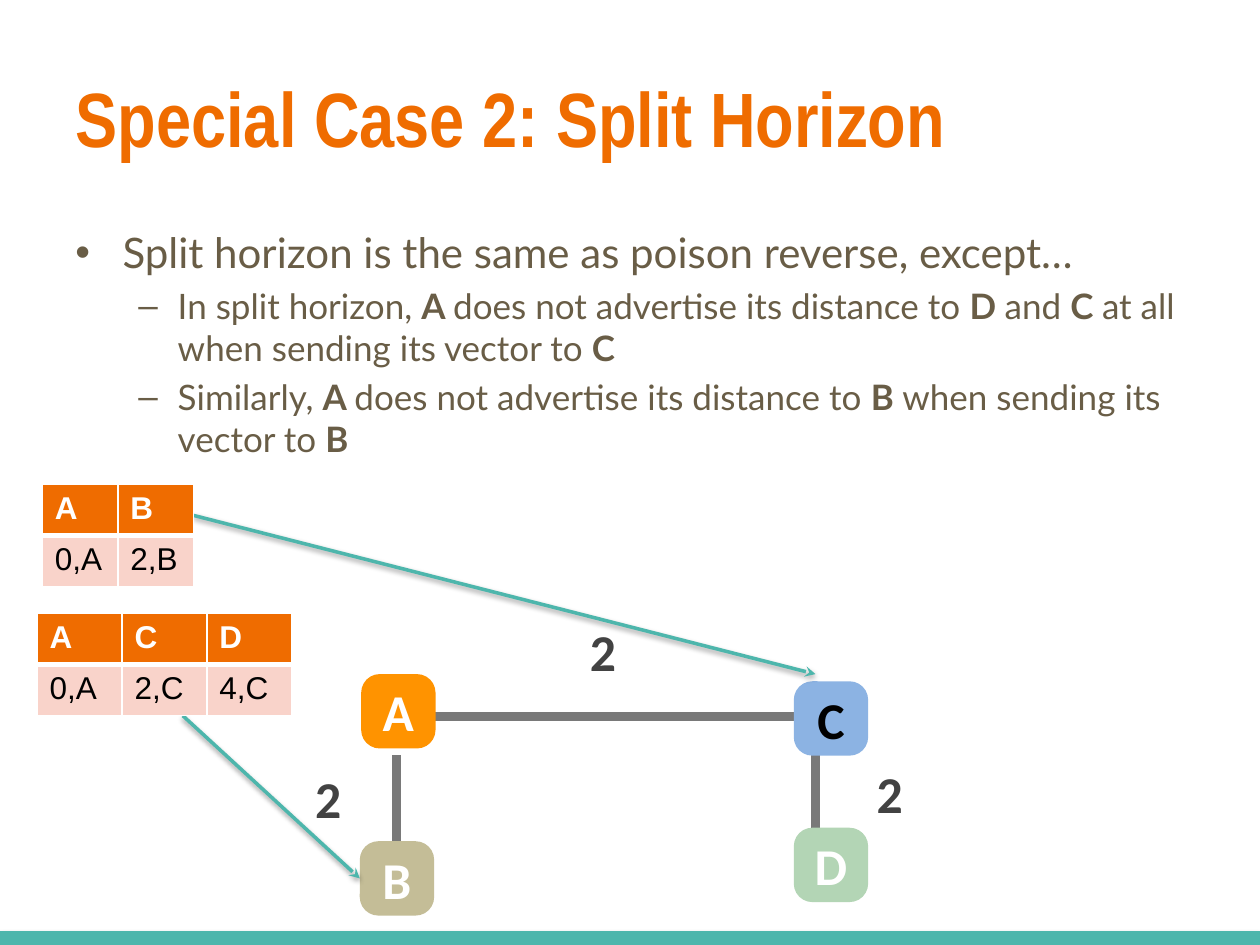
from dataclasses import dataclass

from lxml.etree import SubElement
from pptx import Presentation
from pptx.dml.color import RGBColor
from pptx.enum.shapes import MSO_CONNECTOR, MSO_SHAPE
from pptx.enum.text import MSO_ANCHOR, MSO_AUTO_SIZE, PP_ALIGN
from pptx.oxml.ns import qn
from pptx.util import Pt


@dataclass(frozen=True)
class Theme:
    accent: str = "EF6C00"
    teal: str = "4DB6AC"
    body: str = "695D46"
    link: str = "797979"
    cost: str = "424242"
    row: str = "F9D3CA"
    white: str = "FFFFFF"
    black: str = "000000"
    title_font: str = "Arial Narrow"
    body_font: str = "Lato"
    node_font: str = "Calibri"
    table_font: str = "Arial"
    title_size: float = 44
    point_size: float = 24
    subpoint_size: float = 20
    node_size: float = 29.5
    table_size: float = 18


def rgb(color):
    return RGBColor.from_string(color)


def add_xml(parent, tag, **attributes):
    return SubElement(parent, qn(tag), {key: str(value) for key, value in attributes.items()})


def add_color(parent, color):
    return add_xml(add_xml(parent, "a:solidFill"), "a:srgbClr", val=color)


def set_font(paragraph, name, size, color, bold=None):
    font = paragraph.font
    font.name, font.size, font.bold = name, Pt(size), bold
    font.color.rgb = rgb(color)


def set_frame(frame, anchor, side, top):
    frame.word_wrap = True
    frame.auto_size = MSO_AUTO_SIZE.NONE
    frame.vertical_anchor = anchor
    frame.margin_left = frame.margin_right = Pt(side)
    frame.margin_top = frame.margin_bottom = Pt(top)


class SlideBuilder:
    NODE = 42.5

    def __init__(self, slide, theme):
        self.slide, self.shapes, self.theme = slide, slide.shapes, theme

    def title(self, text, left, top, width, height):
        title = self.shapes.title
        title.left, title.top, title.width, title.height = map(Pt, (left, top, width, height))
        set_frame(title.text_frame, MSO_ANCHOR.MIDDLE, 7.2, 3.6)
        title.text_frame.text = text
        paragraph = title.text_frame.paragraphs[0]
        paragraph.alignment = PP_ALIGN.LEFT
        set_font(paragraph, self.theme.title_font, self.theme.title_size, self.theme.accent, True)

    def bullets(self, points, left, top, width, height):
        """Add (level, text) points; text between asterisks is bold."""
        theme = self.theme
        styles = [("•", 27, 27, theme.point_size), ("–", 58.5, 22.5, theme.subpoint_size)]
        frame = self.shapes.add_textbox(*map(Pt, (left, top, width, height))).text_frame
        set_frame(frame, MSO_ANCHOR.TOP, 7.2, 3.6)
        for index, (level, text) in enumerate(points):
            paragraph = frame.add_paragraph() if index else frame.paragraphs[0]
            paragraph.level = level
            if index:
                paragraph.space_before = Pt(4)
            mark, margin, hang, size = styles[level]
            properties = paragraph._p.get_or_add_pPr()
            properties.set("marL", str(Pt(margin)))
            properties.set("indent", str(-Pt(hang)))
            add_xml(add_xml(properties, "a:buClr"), "a:srgbClr", val=theme.body)
            add_xml(properties, "a:buFont", typeface="Arial")
            add_xml(properties, "a:buChar", char=mark)
            set_font(paragraph, theme.body_font, size, theme.body)
            for position, part in enumerate(text.split("*")):
                if part:
                    run = paragraph.add_run()
                    run.text = part
                    if position % 2:
                        run.font.bold = True

    def node(self, name, left, top, fill, color):
        node = self.shapes.add_shape(
            MSO_SHAPE.ROUNDED_RECTANGLE, *map(Pt, (left, top, self.NODE, self.NODE)))
        node.adjustments[0] = 0.25
        node.shadow.inherit = False
        node.fill.solid()
        node.fill.fore_color.rgb = rgb(fill)
        node.line.fill.background()
        set_frame(node.text_frame, MSO_ANCHOR.MIDDLE, 0, 0)
        node.text_frame.text = name
        paragraph = node.text_frame.paragraphs[0]
        paragraph.alignment = PP_ALIGN.CENTER
        set_font(paragraph, self.theme.node_font, self.theme.node_size, color, True)

    def cost(self, text, left, top):
        frame = self.shapes.add_textbox(*map(Pt, (left, top, 34, 42))).text_frame
        set_frame(frame, MSO_ANCHOR.MIDDLE, 3, 3)
        frame.text = text
        set_font(frame.paragraphs[0], self.theme.node_font, self.theme.node_size,
                 self.theme.cost, True)

    def line(self, start, end, color, width, shadow=False, arrow=False):
        line = self.shapes.add_connector(MSO_CONNECTOR.STRAIGHT, *map(Pt, (*start, *end)))
        line.line.color.rgb = rgb(color)
        line.line.width = Pt(width)
        if arrow:
            add_xml(line.line._get_or_add_ln(), "a:tailEnd", type="stealth")
        effects = add_xml(line._element.spPr, "a:effectLst")
        if shadow:
            outer = add_xml(effects, "a:outerShdw", blurRad=Pt(3.1), dist=Pt(1.6),
                            dir=90 * 60000, rotWithShape=0)
            shade = add_xml(outer, "a:srgbClr", val=self.theme.black)
            add_xml(shade, "a:alpha", val=38000)

    def vector_table(self, rows, left, top, column_width, row_height=29.2):
        theme = self.theme
        columns = len(rows[0])
        table = self.shapes.add_table(
            len(rows), columns, Pt(left), Pt(top),
            Pt(column_width * columns), Pt(row_height * len(rows))).table
        for column in table.columns:
            column.width = Pt(column_width)
        for index, values in enumerate(rows):
            header = index == 0
            table.rows[index].height = Pt(row_height)
            borders = {"L": 1, "R": 1, "T": 1 if header else 3, "B": 3 if header else 1}
            for cell, value in zip(table.rows[index].cells, values):
                for side, width in borders.items():
                    border = add_xml(cell._tc.get_or_add_tcPr(), f"a:ln{side}", w=Pt(width))
                    add_color(border, theme.white)
                cell.fill.solid()
                cell.fill.fore_color.rgb = rgb(theme.accent if header else theme.row)
                cell.text = value
                set_font(cell.text_frame.paragraphs[0], theme.table_font, theme.table_size,
                         theme.white if header else theme.black, header)


def main():
    deck = Presentation()
    deck.slide_width, deck.slide_height = Pt(720), Pt(540)
    theme = Theme()
    page = SlideBuilder(deck.slides.add_slide(deck.slide_layouts[5]), theme)

    page.line((0, 537), (720, 537), theme.teal, 10, shadow=True)
    page.title("Special Case 2: Split Horizon", 36, 21.6, 648, 90)
    page.bullets([
        (0, "Split horizon is the same as poison reverse, except…"),
        (1, "In split horizon, *A *does not advertise its distance to *D *and *C *at all "
            "when sending its vector to *C*"),
        (1, "Similarly, *A *does not advertise its distance to *B *when sending its "
            "vector to *B*"),
    ], 36, 126, 648, 356.4)

    for start, end in [((248.5, 409.5), (453.5, 409.5)),
                       ((466, 481), (466, 431.5)),
                       ((226.5, 431.5), (226.5, 481))]:
        page.line(start, end, theme.link, 5)
    for name, left, top, fill, color in [("A", 206.4, 385.2, "FF9300", theme.white),
                                         ("C", 453.6, 389.3, "8CB3E3", theme.black),
                                         ("B", 205.6, 480.7, "C4BD97", theme.white),
                                         ("D", 453.6, 473, "B3D5B5", theme.white)]:
        page.node(name, left, top, fill, color)
    for left, top in [(177, 435), (334, 351), (498, 432)]:
        page.cost("2", left, top)

    for start, end in [((110.5, 294.5), (466, 385.2)), ((104.5, 409), (205.6, 502))]:
        page.line(start, end, theme.teal, 2, shadow=True, arrow=True)
    page.vector_table([["A", "B"], ["0,A", "2,B"]], 24.1, 276.8, 43.2)
    page.vector_table([["A", "C", "D"], ["0,A", "2,C", "4,C"]], 21.2, 350.5, 48.5)
    deck.save("out.pptx")


if __name__ == "__main__":
    main()
